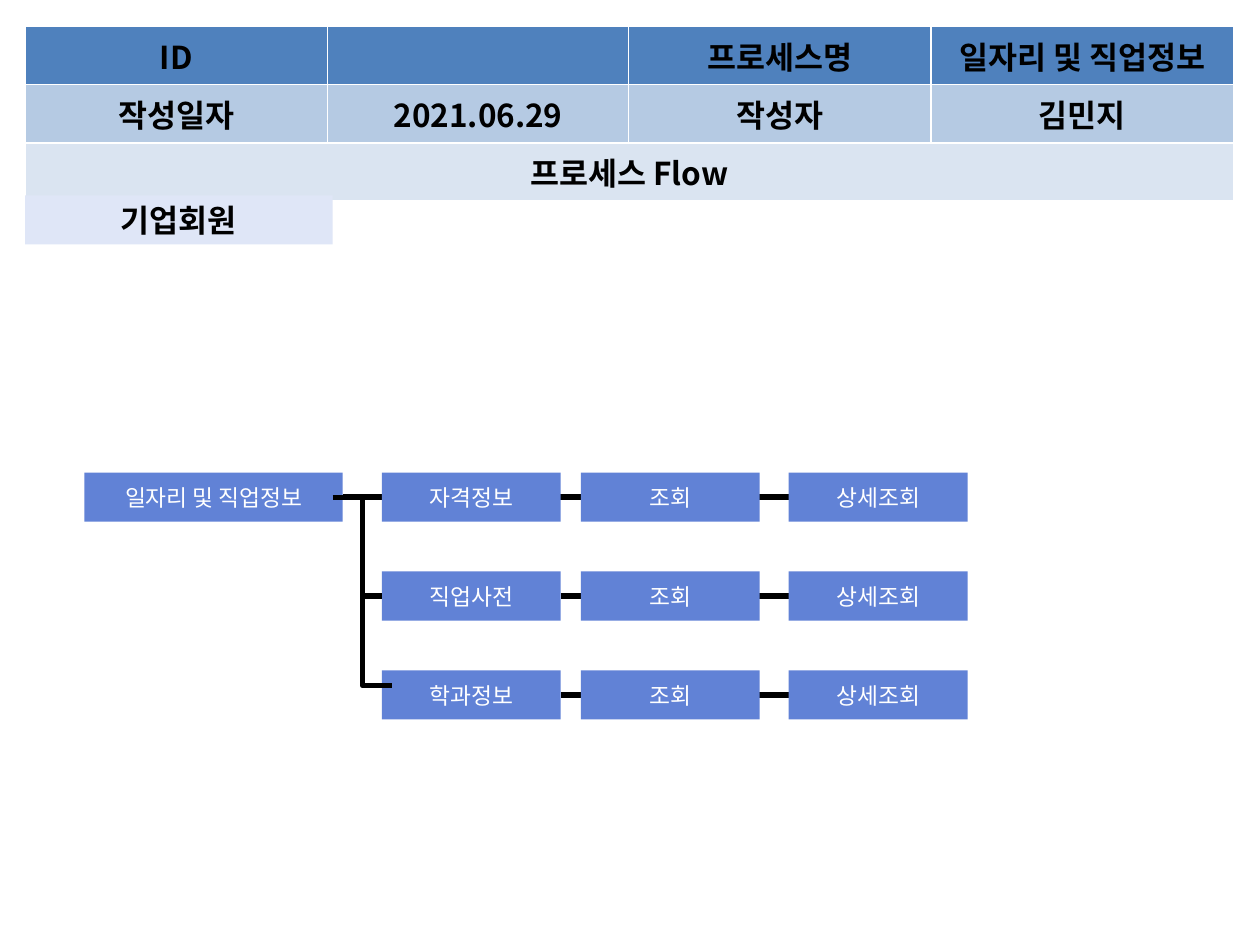
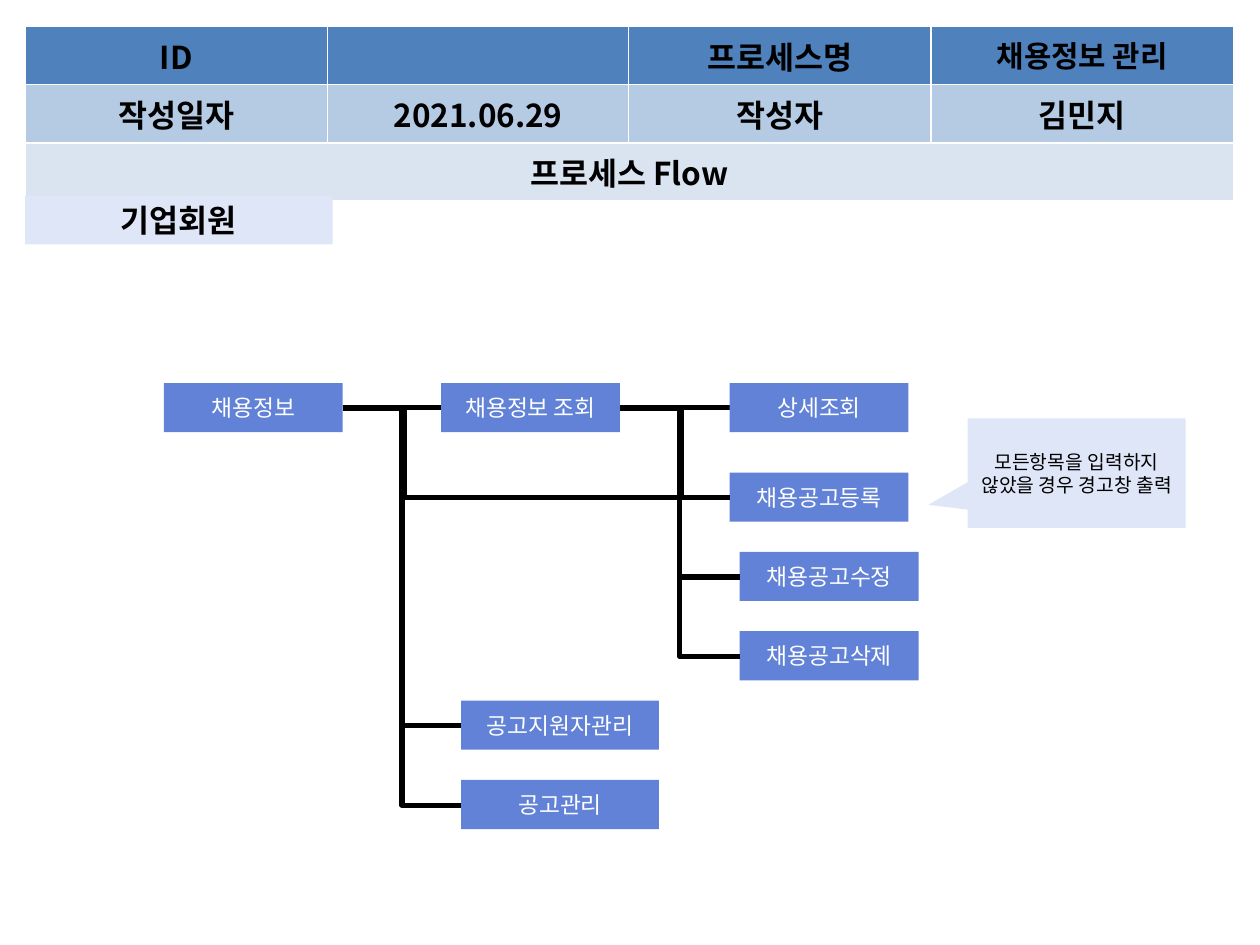
from lxml import etree
from pptx import Presentation
from pptx.dml.color import RGBColor
from pptx.enum.shapes import MSO_CONNECTOR, MSO_SHAPE
from pptx.enum.text import MSO_ANCHOR, PP_ALIGN
from pptx.oxml.ns import qn
from pptx.util import Inches, Pt

LINE, ELBOW = MSO_CONNECTOR.STRAIGHT, MSO_CONNECTOR.ELBOW
RECT, CALLOUT = MSO_SHAPE.RECTANGLE, MSO_SHAPE.RECTANGULAR_CALLOUT
MIDDLE, CENTER = MSO_ANCHOR.MIDDLE, PP_ALIGN.CENTER
FONT = "Noto Sans CJK KR"
BLACK, WHITE, BLUE, PALE = "000000", "FFFFFF", "6182D6", "DFE6F7"
BANDS = ["4F81BD", "B5CAE3", "DAE4F1"]
COLS = [1.02, 1.38, 2.39, 2.4, 2.4]
HIGH, WIDE = 0.39, 1.42


def write(frame, text, size, ink, bold=False):
    frame.text = text
    para = frame.paragraphs[0]
    para.alignment = CENTER
    for run in para.runs:
        run.font.size = Pt(size)
        run.font.bold = bold
        run.font.color.rgb = RGBColor.from_string(ink)
        run.font.name = FONT
        east = etree.SubElement(run._r.get_or_add_rPr(), qn("a:ea"))
        east.set("typeface", FONT)


def block(slide, form, area, text, fill, size, ink, bold=False):
    shape = slide.shapes.add_shape(form, *[Inches(n) for n in area])
    shape.shadow.inherit = False
    shape.fill.solid()
    shape.fill.fore_color.rgb = RGBColor.from_string(fill)
    shape.line.fill.background()
    shape.text_frame.word_wrap = True
    shape.text_frame.vertical_anchor = MIDDLE
    write(shape.text_frame, text, size, ink, bold)
    return shape


jobs = {"root": ("일자리 및 직업정보", 0.67, 3.75, 2.05)}
for row, name in enumerate(["자격정보", "직업사전", "학과정보"]):
    top = 3.75 + row * 0.785
    for col, (text, left) in enumerate([(name, 3.03), ("조회", 4.61), ("상세조회", 6.26)]):
        jobs[row, col] = (text, left, top, WIDE)

hires = {
    "root": ("채용정보", 1.3, 3.04, WIDE),
    "list": ("채용정보 조회", 3.5, 3.04, WIDE),
    "view": ("상세조회", 5.79, 3.04, WIDE),
    "post": ("채용공고등록", 5.79, 3.75, WIDE),
    "edit": ("채용공고수정", 5.87, 4.38, WIDE),
    "drop": ("채용공고삭제", 5.87, 5.01, WIDE),
    "apply": ("공고지원자관리", 3.66, 5.56, 1.57),
    "manage": ("공고관리", 3.66, 6.19, 1.57),
}

pages = [
    ("일자리 및 직업정보", 18, jobs,
     [("root", (0, 2)), ((1, 0), (1, 2)), ((2, 0), (2, 2))],
     [(2.64, 3.95, 3.11, 5.44, 0.5), (2.72, 3.95, 3.03, 4.73, 0.5)]),
    ("채용정보 관리", 17, hires,
     [("root", "view")],
     [(4.92, 3.24, 5.79, 3.95, 0.56), (4.92, 3.24, 5.87, 4.58, 0.5),
      (4.92, 3.24, 5.87, 5.21, 0.5), (2.72, 3.24, 5.79, 3.95, 0.16),
      (2.72, 3.24, 3.66, 5.76, 0.5), (2.72, 3.24, 3.66, 6.39, 0.5)]),
]

deck = Presentation()
deck.slide_width, deck.slide_height = Inches(10), Inches(7.5)

for title, size, boxes, lines, bends in pages:
    slide = deck.slides.add_slide(deck.slide_layouts[6])
    tree = slide.shapes._spTree
    table = slide.shapes.add_table(
        3, 5, Inches(0.2), Inches(0.21), Inches(9.6), Inches(1.23)).table
    for col, width in zip(table.columns, COLS):
        col.width = Inches(width)
    table.cell(0, 0).merge(table.cell(0, 1))
    table.cell(1, 0).merge(table.cell(1, 1))
    table.cell(2, 0).merge(table.cell(2, 4))
    words = [
        ["ID", "", "", "프로세스명", title],
        ["작성일자", "", "2021.06.29", "작성자", "김민지"],
        ["프로세스 Flow", "", "", "", ""],
    ]
    for r, texts in enumerate(words):
        table.rows[r].height = Inches(0.41)
        for c, text in enumerate(texts):
            cell = table.cell(r, c)
            cell.fill.solid()
            cell.fill.fore_color.rgb = RGBColor.from_string(BANDS[r])
            write(cell.text_frame, text, size if text == title else 18, BLACK, True)

    block(slide, RECT, (0.2, 1.55, 2.44, HIGH), "기업회원", PALE, 18, BLACK, True)
    back = len(tree)

    nodes = {}
    for key, (text, left, top, width) in boxes.items():
        nodes[key] = block(slide, RECT, (left, top, width, HIGH), text, BLUE, 13, WHITE)

    links = []
    for start, end in lines:
        link = slide.shapes.add_connector(LINE, 0, 0, 0, 0)
        link.begin_connect(nodes[start], 3)
        link.end_connect(nodes[end], 1)
        tree.insert(back, link._element)
        links.append(link)
    for *ends, bend in bends:
        link = slide.shapes.add_connector(ELBOW, *[Inches(n) for n in ends])
        guide = etree.SubElement(link._element.find(".//" + qn("a:avLst")), qn("a:gd"))
        guide.set("name", "adj1")
        guide.set("fmla", f"val {round(bend * 100000)}")
        links.append(link)
    for link in links:
        link.line.color.rgb = RGBColor.from_string(BLACK)
        link.line.width = Pt(3)
        etree.SubElement(link._element.spPr, qn("a:effectLst"))

note = block(slide, CALLOUT, (7.68, 3.32, 1.73, 0.87),
             "모든항목을 입력하지 않았을 경우 경고창 출력", PALE, 11, BLACK)
note.adjustments[0] = -0.68
note.adjustments[1] = 0.29

deck.save("out.pptx")
